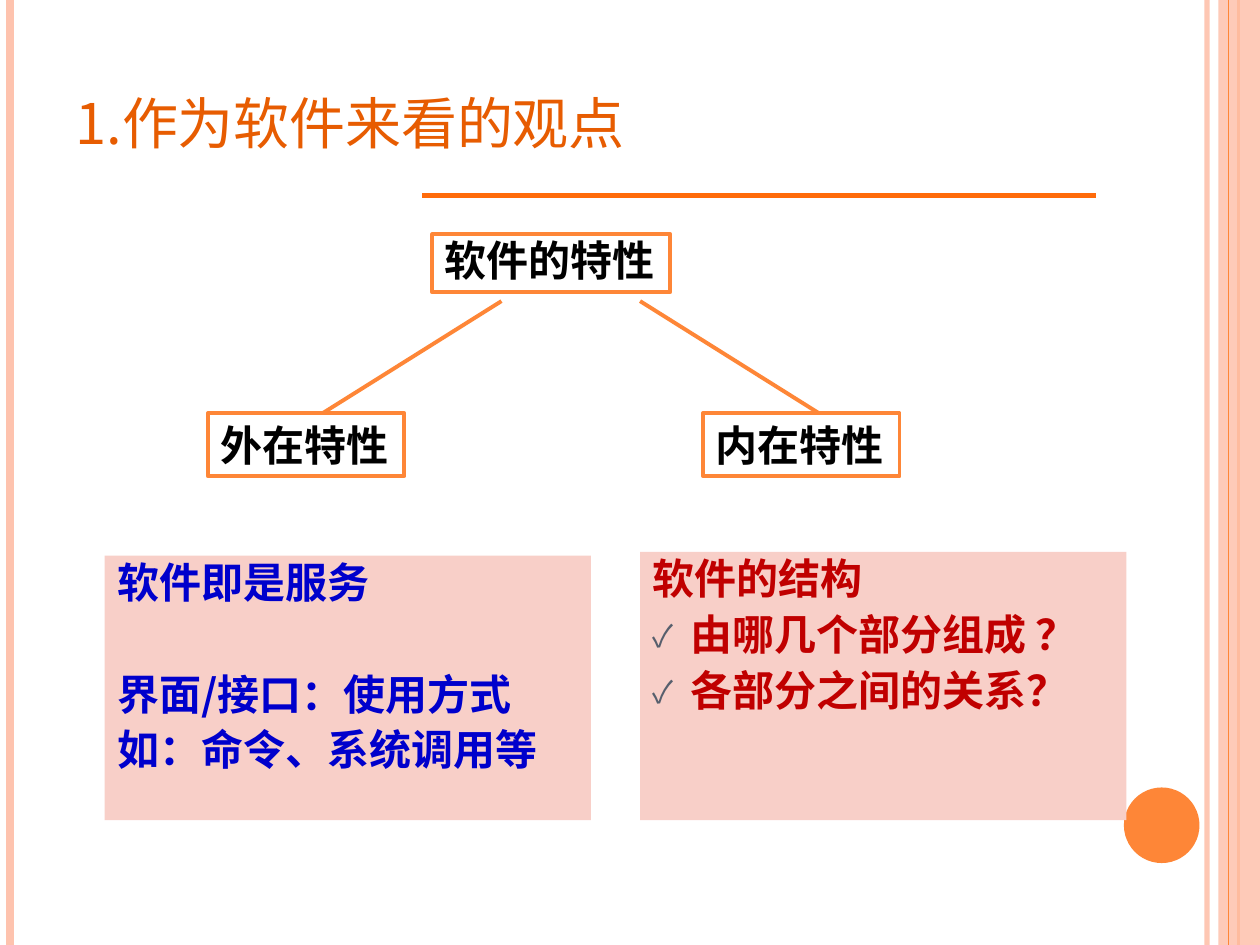
import pptx
import pptx.dml.color
import pptx.enum.shapes
import pptx.enum.text
import pptx.oxml
import pptx.oxml.ns
import pptx.util

Inches, Pt = pptx.util.Inches, pptx.util.Pt
RGB = pptx.dml.color.RGBColor.from_string
SHAPE = pptx.enum.shapes.MSO_SHAPE
ANCHOR = pptx.enum.text.MSO_ANCHOR
ALIGN = pptx.enum.text.PP_ALIGN
AUTO = pptx.enum.text.MSO_AUTO_SIZE
NS = pptx.oxml.ns.nsdecls("a")

THEME = {
    "font": "Noto Sans CJK SC", "title_size": 40, "text_size": 24,
    "title": "E75C01", "accent": "FE8637", "pale": "FEC3AE", "rule": "FF6B0A",
    "panel": "F8CFC8", "black": "000000", "blue": "0000CC", "red": "C00000",
    "check": "575F6D",
}

TITLE = "1.作为软件来看的观点"
# text, (left, top, width, height), line spacing
BOXES = [
    ("软件的特性", (3.43, 1.86, 1.89, 0.46), 0.9),
    ("外在特性", (1.65, 3.28, 1.56, 0.5), 1.0),
    ("内在特性", (5.58, 3.28, 1.56, 0.5), 1.0),
]
BRANCHES = [((3.98, 2.39), (2.56, 3.28)), ((5.08, 2.39), (6.5, 3.28))]
# text, space before in points, checked
SERVICE = [("软件即是服务", 6, False), ("界面/接口：使用方式", 38, False),
           ("如：命令、系统调用等", 6, False)]
STRUCTURE = [("软件的结构", 6, False), ("由哪几个部分组成 ？", 6, True),
             ("各部分之间的关系？", 6, True)]
SERVICE_AT = (0.83, 4.41, 3.86, 2.1)
STRUCTURE_AT = (5.08, 4.38, 3.86, 2.13)
# x, colour, width, opacity in percent
STRIPES = [(9.58, "pale", 3, 93), (0.08, "pale", 4.5, 100), (9.83, "accent", 1.5, 100)]
INNER_STRIPE = (9.75, "accent", 0.75, 100)


def set_opacity(fill_parent, percent):
    if percent < 100:
        color = fill_parent.find(".//" + pptx.oxml.ns.qn("a:srgbClr"))
        color.append(pptx.oxml.parse_xml(f'<a:alpha {NS} val="{percent * 1000}"/>'))


def add_line(s, start, end, color, width, opacity=100):
    c = s.shapes.add_connector(pptx.enum.shapes.MSO_CONNECTOR.STRAIGHT,
                               *map(Inches, start + end))
    c.line.color.rgb = RGB(THEME[color])
    c.line.width = Pt(width)
    set_opacity(c.line._ln, opacity)
    c._element.spPr.append(pptx.oxml.parse_xml(f"<a:effectLst {NS}/>"))


def add_stripe(s, x, color, width, opacity):
    add_line(s, (x, 0), (x, 7.5), color, width, opacity)


def add_shape(s, kind, at, fill=None, line=None, opacity=100):
    sp = s.shapes.add_shape(kind, *map(Inches, at))
    sp.shadow.inherit = False
    if fill:
        sp.fill.solid()
        sp.fill.fore_color.rgb = RGB(THEME[fill])
        set_opacity(sp._element.spPr, opacity)
    else:
        sp.fill.background()
    if line:
        sp.line.color.rgb = RGB(THEME[line])
        sp.line.width = Pt(2.25)
    else:
        sp.line.fill.background()
    return sp


def place(sp, at):
    sp.left, sp.top, sp.width, sp.height = map(Inches, at)


def add_run(p, text, color, size, bold):
    r = p.add_run()
    r.text = text
    r.font.size = Pt(size)
    r.font.bold = bold
    r.font.name = THEME["font"]
    r.font.color.rgb = RGB(THEME[color])
    r.font._element.append(
        pptx.oxml.parse_xml(f'<a:ea {NS} typeface="{THEME["font"]}"/>'))
    return r


def set_bullet(p, checked, margin, hanging):
    pPr = p._p.get_or_add_pPr()
    pPr.set("marL", str(Inches(margin)))
    pPr.set("indent", str(-Inches(hanging)))
    marks = ([f'<a:buClr {NS}><a:srgbClr val="{THEME["check"]}"/></a:buClr>',
              f'<a:buSzPct {NS} val="73000"/>',
              f'<a:buFont {NS} typeface="{THEME["font"]}"/>',
              f'<a:buChar {NS} char="✓"/>'] if checked else [f"<a:buNone {NS}/>"])
    for mark in marks:
        pPr.append(pptx.oxml.parse_xml(mark))


def fill_panel(sp, items, color, indent):
    tf = sp.text_frame
    tf.word_wrap = True
    tf.auto_size = AUTO.NONE
    tf.vertical_anchor = ANCHOR.TOP
    for i, (text, before, checked) in enumerate(items):
        p = tf.add_paragraph() if i else tf.paragraphs[0]
        p.alignment = ALIGN.LEFT
        p.line_spacing = 0.9
        p.space_before = Pt(before)
        set_bullet(p, checked, indent, indent)
        add_run(p, text, color, THEME["text_size"], True)


def add_title(s):
    sp = s.shapes.title
    place(sp, (0.5, 0.3, 8.17, 1.01))
    tf = sp.text_frame
    tf.vertical_anchor = ANCHOR.BOTTOM
    tf.auto_size = AUTO.NONE
    p = tf.paragraphs[0]
    p.alignment = ALIGN.LEFT
    r = add_run(p, TITLE, "title", THEME["title_size"], False)
    r.font._element.set("cap", "small")


def add_label(s, text, at, spacing):
    tf = add_shape(s, SHAPE.RECTANGLE, at, line="accent").text_frame
    tf.word_wrap = False
    tf.auto_size = AUTO.SHAPE_TO_FIT_TEXT
    tf.vertical_anchor = ANCHOR.TOP
    p = tf.paragraphs[0]
    p.alignment = ALIGN.LEFT
    p.line_spacing = spacing
    add_run(p, text, "black", THEME["text_size"], True)


def main():
    prs = pptx.Presentation()
    prs.slide_width, prs.slide_height = Inches(10), Inches(7.5)
    s = prs.slides.add_slide(prs.slide_layouts[1])

    for stripe in STRIPES:
        add_stripe(s, *stripe)
    add_shape(s, SHAPE.RECTANGLE, (9.67, 0, 0.33, 7.5), fill="pale", opacity=87)
    add_stripe(s, *INNER_STRIPE)
    add_shape(s, SHAPE.OVAL, (8.92, 6.25, 0.6, 0.6), fill="accent")
    add_line(s, (3.35, 1.55), (8.7, 1.55), "rule", 3)

    add_title(s)
    body = s.placeholders[1]
    place(body, SERVICE_AT)
    body.fill.solid()
    body.fill.fore_color.rgb = RGB(THEME["panel"])
    fill_panel(body, SERVICE, "blue", 0)

    for start, end in BRANCHES:
        add_line(s, start, end, "accent", 2.25)
    for box in BOXES:
        add_label(s, *box)
    panel = add_shape(s, SHAPE.RECTANGLE, STRUCTURE_AT, fill="panel")
    fill_panel(panel, STRUCTURE, "red", 0.3)

    prs.save("out.pptx")


if __name__ == "__main__":
    main()
